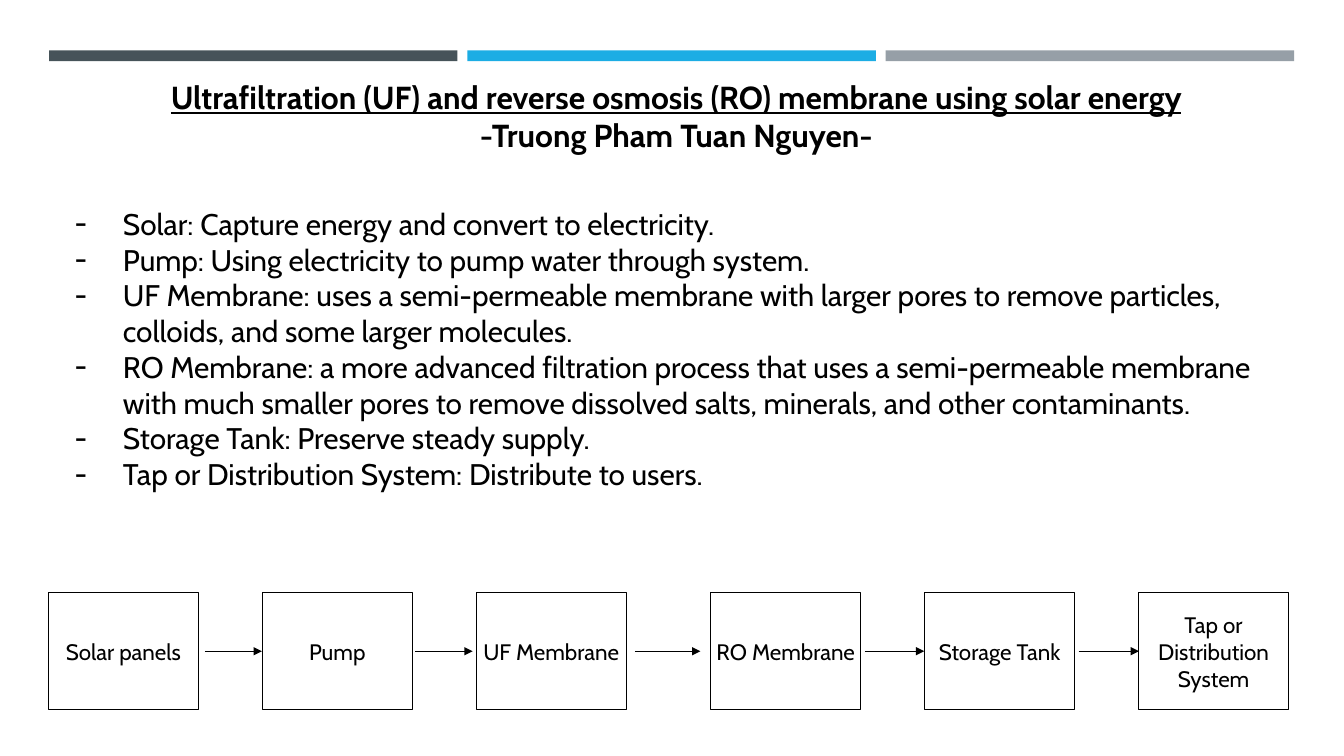
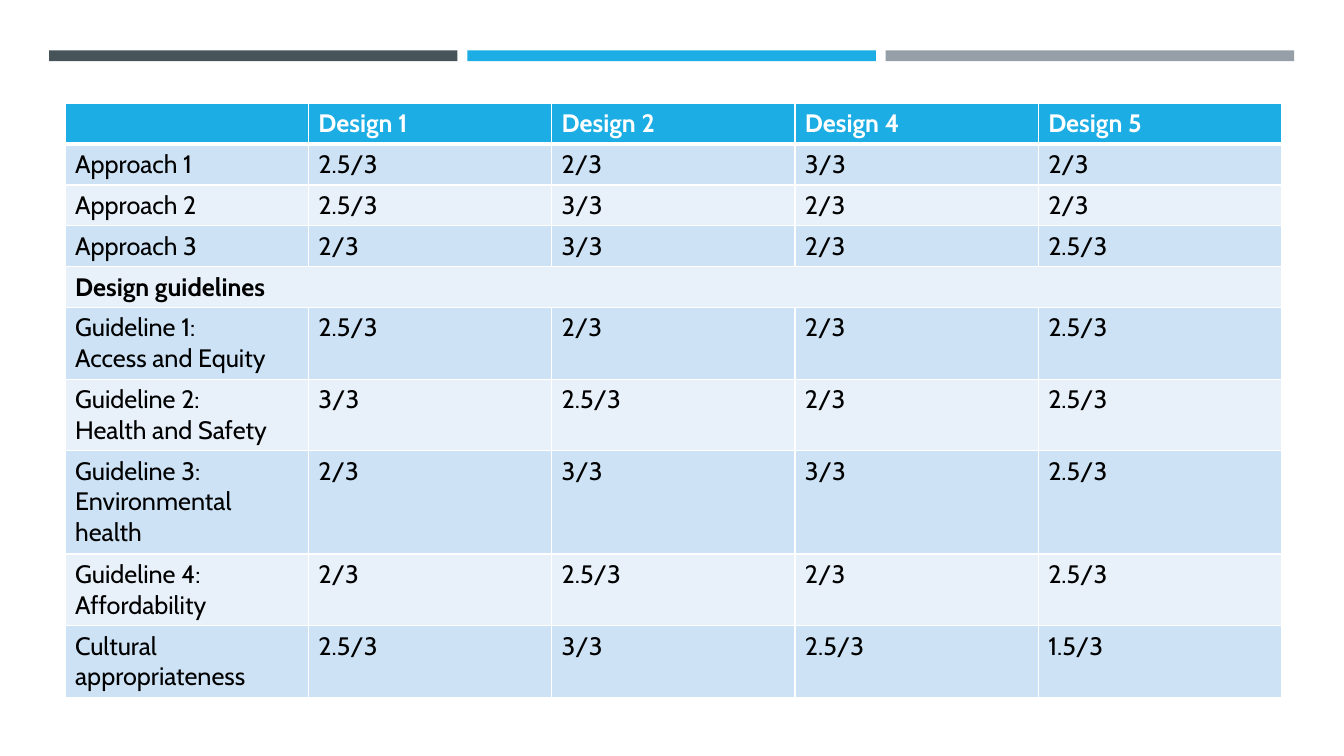
from dataclasses import dataclass

from lxml import etree
from pptx import Presentation
from pptx import util as u
from pptx.dml.color import RGBColor
from pptx.enum import shapes, text
from pptx.oxml import ns


@dataclass(frozen=True)
class Theme:
    font: str = "Cabin"
    ink: str = "000000"
    paper: str = "FFFFFF"
    accent: str = "1CADE4"
    row_dark: str = "CDE3F5"
    row_light: str = "E8F1FA"
    bands: tuple = ("465359", "1CADE4", "969FA7")
    title_size: float = 22.7
    body_size: float = 21.3
    table_size: float = 18
    label_size: float = 16
    line_width: float = 0.75


theme = Theme()


def add_run(para, words, size, color=theme.ink, bold=False, underline=False):
    span = para.add_run()
    span.text = words
    span.font.name = theme.font
    span.font.size = u.Pt(size)
    span.font.bold = bold
    span.font.underline = underline
    span.font.color.rgb = RGBColor.from_string(color)


def add_child(parent, tag, **attributes):
    return etree.SubElement(parent, ns.qn(tag), attributes)


deck = Presentation()
deck.slide_width, deck.slide_height = u.Inches(13.333), u.Inches(7.5)
blank = deck.slide_layouts[6]
flow_page, score_page = [deck.slides.add_slide(blank) for _ in range(2)]

# Shared bands along the top
for page in (flow_page, score_page):
    for index, color in enumerate(theme.bands):
        band = page.shapes.add_shape(
            shapes.MSO_SHAPE.RECTANGLE,
            u.Cm(1.24 + 10.54 * index), u.Cm(1.27), u.Cm(10.29), u.Cm(0.27))
        band.shadow.inherit = False
        band.fill.solid()
        band.fill.fore_color.rgb = RGBColor.from_string(color)
        band.line.fill.background()

# Title and description frames
frames = []
for left, top, width, height in ((0.58, 1.63, 32.92, 2.62),
                                 (1.07, 4.85, 31.72, 8.89)):
    box = flow_page.shapes.add_textbox(
        u.Cm(left), u.Cm(top), u.Cm(width), u.Cm(height))
    frame = box.text_frame
    frame.word_wrap = True
    frame.margin_left = frame.margin_right = u.Cm(0.33)
    frame.margin_top = frame.margin_bottom = u.Cm(0.33)
    frames.append(frame)
title_frame, body_frame = frames

# Title
title_lines = (
    ("Ultrafiltration (UF) and reverse osmosis (RO) membrane using solar energy", True),
    ("-Truong Pham Tuan Nguyen-", False),
)
for index, (words, underline) in enumerate(title_lines):
    para = title_frame.add_paragraph() if index else title_frame.paragraphs[0]
    para.alignment = text.PP_ALIGN.CENTER
    add_run(para, words, theme.title_size, bold=True, underline=underline)

# Description of the stages
descriptions = (
    "Solar: Capture energy and convert to electricity.",
    "Pump: Using electricity to pump water through system.",
    "UF Membrane: uses a semi-permeable membrane with larger pores to remove "
    "particles, colloids, and some larger molecules.",
    "RO Membrane: a more advanced filtration process that uses a semi-permeable "
    "membrane with much smaller pores to remove dissolved salts, minerals, and "
    "other contaminants.",
    "Storage Tank: Preserve steady supply.",
    "Tap or Distribution System: Distribute to users.",
)
for index, words in enumerate(descriptions):
    para = body_frame.add_paragraph() if index else body_frame.paragraphs[0]
    properties = para._p.get_or_add_pPr()
    properties.set("marL", str(u.Cm(1.7)))
    properties.set("indent", str(u.Cm(-1.22)))
    bullet_color = add_child(properties, "a:buClr")
    add_child(bullet_color, "a:srgbClr", val=theme.ink)
    add_child(properties, "a:buFont", typeface=theme.font)
    add_child(properties, "a:buChar", char="-")
    add_run(para, words, theme.body_size)

# Flow boxes, with a wider gap between the two membranes
stages = ("Solar panels", "Pump", "UF Membrane", "RO Membrane",
          "Storage Tank", "Tap or Distribution System")
for index, words in enumerate(stages):
    left = 1.22 + 5.39 * index + (0.52 if index >= 3 else 0)
    box = flow_page.shapes.add_shape(
        shapes.MSO_SHAPE.RECTANGLE,
        u.Cm(left), u.Cm(14.94), u.Cm(3.78), u.Cm(2.95))
    box.shadow.inherit = False
    box.fill.solid()
    box.fill.fore_color.rgb = RGBColor.from_string(theme.paper)
    box.line.color.rgb = RGBColor.from_string(theme.ink)
    box.line.width = u.Pt(theme.line_width)
    frame = box.text_frame
    frame.word_wrap = True
    frame.margin_left = frame.margin_right = 0
    frame.vertical_anchor = text.MSO_ANCHOR.MIDDLE
    para = frame.paragraphs[0]
    para.alignment = text.PP_ALIGN.CENTER
    add_run(para, words, theme.label_size)

# Flow arrows
arrow_y = u.Cm(16.41)
for start, end in ((5.16, 6.6), (10.46, 11.91), (16, 17.65),
                   (21.79, 23.29), (27.18, 28.7)):
    arrow = flow_page.shapes.add_connector(
        shapes.MSO_CONNECTOR.STRAIGHT, u.Cm(start), arrow_y, u.Cm(end), arrow_y)
    arrow.line.color.rgb = RGBColor.from_string(theme.ink)
    arrow.line.width = u.Pt(theme.line_width)
    outline = arrow.element.spPr.find(ns.qn("a:ln"))
    add_child(outline, "a:tailEnd", type="triangle")
    add_child(arrow.element.spPr, "a:effectLst")

# Score table: row height, then cells
score_rows = (
    (1.03, "", "Design 1", "Design 2", "Design 4", "Design 5"),
    (1.03, "Approach 1", "2.5/3", "2/3", "3/3", "2/3"),
    (1.03, "Approach 2", "2.5/3", "3/3", "2/3", "2/3"),
    (1.03, "Approach 3", "2/3", "3/3", "2/3", "2.5/3"),
    (1.03, "Design guidelines", "", "", "", ""),
    (1.8, "Guideline 1:\nAccess and Equity", "2.5/3", "2/3", "2/3", "2.5/3"),
    (1.8, "Guideline 2:\nHealth and Safety", "3/3", "2.5/3", "2/3", "2.5/3"),
    (2.6, "Guideline 3:\nEnvironmental health", "2/3", "3/3", "3/3", "2.5/3"),
    (1.8, "Guideline 4:\nAffordability", "2/3", "2.5/3", "2/3", "2.5/3"),
    (1.8, "Cultural appropriateness", "2.5/3", "3/3", "2.5/3", "1.5/3"),
)
header_row, section_row = 0, 4
table = score_page.shapes.add_table(
    len(score_rows), 5, u.Cm(1.64), u.Cm(2.6), u.Cm(30.63),
    u.Cm(sum(row[0] for row in score_rows))).table
table.first_row = table.horz_banding = False
for column in table.columns:
    column.width = u.Cm(6.13)

for row_index, (height, *cells) in enumerate(score_rows):
    table.rows[row_index].height = u.Cm(height)
    is_header = row_index == header_row
    fill = theme.row_dark if row_index % 2 else theme.row_light
    for column_index, words in enumerate(cells):
        cell = table.cell(row_index, column_index)
        properties = cell._tc.get_or_add_tcPr()
        for side in ("a:lnL", "a:lnR", "a:lnT", "a:lnB"):
            under_header = (row_index, side) in ((0, "a:lnB"), (1, "a:lnT"))
            border = add_child(properties, side, w=str(u.Pt(3 if under_header else 1)))
            paint = add_child(border, "a:solidFill")
            add_child(paint, "a:srgbClr", val=theme.paper)
        cell.fill.solid()
        cell.fill.fore_color.rgb = RGBColor.from_string(
            theme.accent if is_header else fill)
        if not words:
            continue
        for line_index, line in enumerate(words.split("\n")):
            frame = cell.text_frame
            para = frame.add_paragraph() if line_index else frame.paragraphs[0]
            add_run(para, line, theme.table_size,
                    theme.paper if is_header else theme.ink,
                    bold=row_index in (header_row, section_row))

table.cell(section_row, 0).merge(table.cell(section_row, 4))

deck.save("out.pptx")
